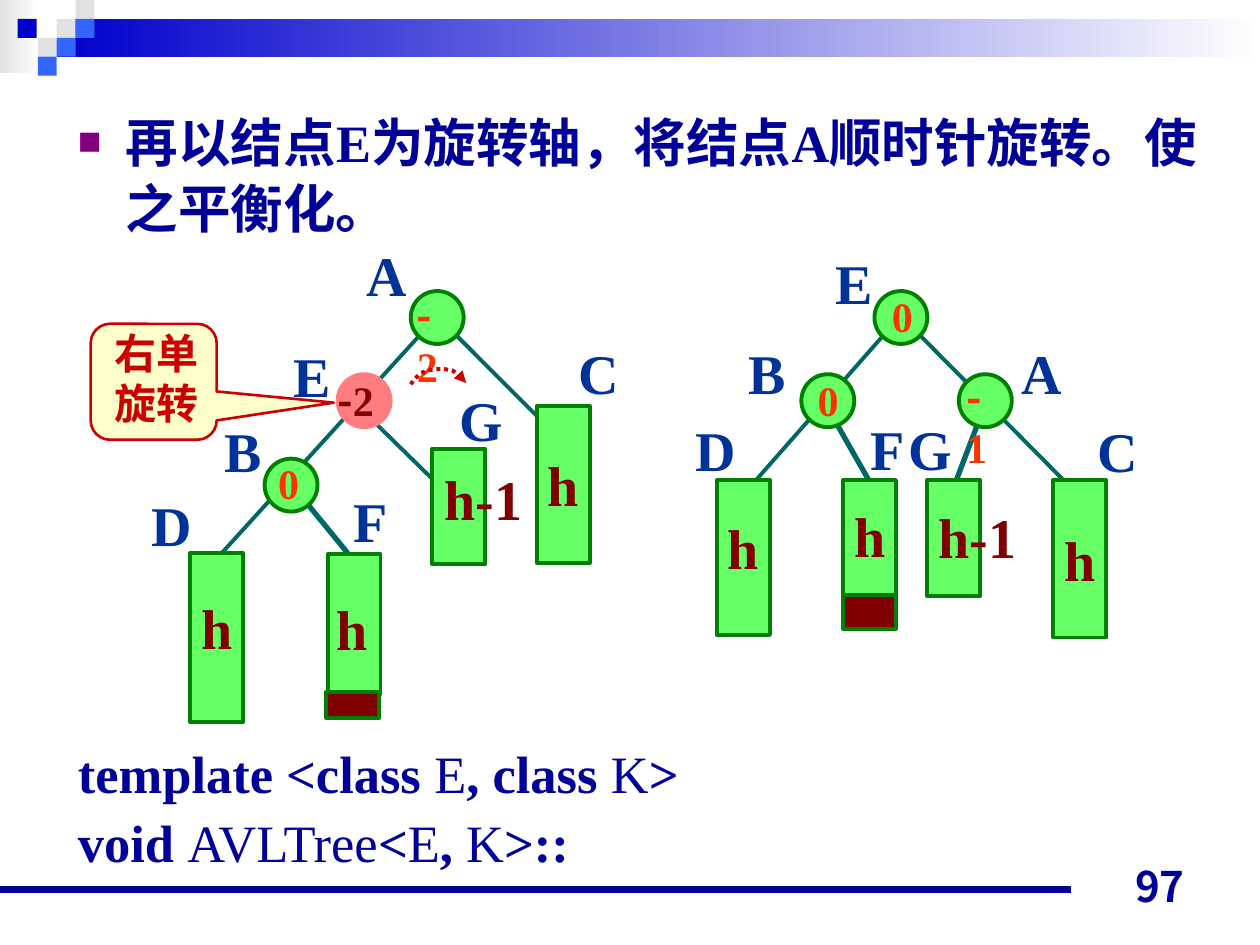
from typing import NamedTuple

from lxml.etree import SubElement
from pptx import Presentation
from pptx.dml.color import RGBColor
from pptx.enum.dml import MSO_LINE
from pptx.enum.shapes import MSO_CONNECTOR, MSO_SHAPE
from pptx.enum.text import MSO_ANCHOR, PP_ALIGN
from pptx.oxml.ns import qn
from pptx.util import Inches, Pt

COLORS = {
    "navy": "000099", "blue": "0000CC", "light blue": "3366FF", "grey": "E1E1E1",
    "white": "FFFFFF", "purple": "800080", "label": "003399", "balance": "FF3300",
    "edge": "006666", "outline": "008000", "green": "66FF66", "pink": "FF7C80",
    "maroon": "800000", "red": "CC0000", "cream": "FFFFCC",
}
SERIF, CJK, NUMBER_FONT = "Times New Roman", "Noto Sans CJK SC", "Noto Sans CJK JP"
NODE_SIZE = 0.42


class Run(NamedTuple):
    text: str
    bold: bool = True
    font: str = SERIF


class Label(NamedTuple):
    left: float
    top: float
    width: float
    text: str
    color: str = "label"


class Balance(NamedTuple):
    left: float
    top: float
    width: float
    text: str
    color: str = "balance"


class Edge(NamedTuple):
    x1: float
    y1: float
    x2: float
    y2: float
    weight: float = 2.25


class Node(NamedTuple):
    left: float
    top: float
    fill: str = "green"
    line: str = "outline"


class Subtree(NamedTuple):
    left: float
    top: float
    height: float
    text: str = ""
    spacing: float = 1.0
    fill: str = "green"


EDGES = [
    Edge(2.35, 3.89, 2.76, 4.39, 3), Edge(3.6, 2.64, 4.35, 3.39),
    Edge(3.35, 2.64, 1.76, 4.39), Edge(2.93, 3.31, 3.43, 3.8),
    Edge(7.78, 3.31, 7.53, 3.97, 3), Edge(7.28, 2.64, 8.44, 3.81),
    Edge(7.03, 2.64, 5.86, 3.97), Edge(6.61, 3.31, 6.94, 3.89, 3),
]
NODES = [
    Node(3.26, 2.31), Node(2.68, 2.97, "pink", "pink"), Node(2.1, 3.64),
    Node(6.94, 2.31), Node(6.36, 2.97), Node(7.61, 2.97),
]
SUBTREES = [
    Subtree(4.26, 3.22, 1.25, "h"), Subtree(1.51, 4.39, 1.34, "h", 0.6),
    Subtree(2.6, 4.4, 1.11), Subtree(3.43, 3.56, 0.92),
    Subtree(2.59, 5.49, 0.21, fill="maroon"),
    Subtree(8.36, 3.81, 1.25, "h"), Subtree(5.69, 3.81, 1.23, "h", 0.6),
    Subtree(6.69, 3.81, 0.95), Subtree(7.36, 3.81, 0.92),
    Subtree(6.69, 4.72, 0.27, fill="maroon"),
]
LABELS = [
    Label(2.81, 1.86, 0.52, "A"), Label(2.23, 2.66, 0.49, "E"),
    Label(4.49, 2.64, 0.52, "C"), Label(1.1, 3.84, 0.52, "D"),
    Label(1.68, 3.26, 0.49, "B"), Label(2.71, 3.81, 0.47, "F"),
    Label(3.55, 3.01, 0.54, "G"),
    Label(3.43, 3.64, 0.82, "h-1", "maroon"), Label(2.57, 4.67, 0.45, "h", "maroon"),
    Label(6.53, 1.92, 0.49, "E"), Label(5.84, 2.64, 0.49, "B"),
    Label(8.01, 2.64, 0.52, "A"), Label(5.42, 3.25, 0.52, "D"),
    Label(6.81, 3.24, 0.47, "F"), Label(7.11, 3.24, 0.54, "G"),
    Label(8.61, 3.26, 0.52, "C"),
    Label(7.35, 3.94, 0.82, "h-1", "maroon"), Label(6.68, 3.93, 0.45, "h", "maroon"),
]
BALANCES = [
    Balance(3.21, 2.25, 0.47, "-2"), Balance(2.58, 2.92, 0.56, "-2", "maroon"),
    Balance(2.11, 3.58, 0.36, "0"), Balance(6.98, 2.26, 0.36, "0"),
    Balance(6.39, 2.92, 0.36, "0"), Balance(7.57, 2.9, 0.47, "-1"),
]
HEADER_SQUARES = [
    (0.45, 0.15, "grey"), (0.6, 0, "grey"), (0.6, 0.15, "light blue"),
    (0.3, 0.3, "grey"), (0.14, 0.15, "blue"), (0.45, 0.3, "light blue"),
    (0.3, 0.45, "light blue"),
]
ARC = [
    (3.26, 3.05), (3.29, 3.01), (3.34, 2.96), (3.4, 2.94), (3.46, 2.93),
    (3.53, 2.93), (3.59, 2.94), (3.65, 2.98), (3.7, 3.04),
]


def rgb(name: str) -> RGBColor:
    return RGBColor.from_string(COLORS[name])


def write(paragraph, runs: list[Run], size: float, color: str) -> None:
    for item in runs:
        run = paragraph.add_run()
        run.text = item.text
        run.font.name, run.font.size, run.font.bold = item.font, Pt(size), item.bold
        run.font.color.rgb = rgb(color)
        SubElement(run.font._element, qn("a:ea"), typeface=CJK)


def add_text(slide, left: float, top: float, width: float, height: float,
             lines: list[list[Run]], size: float, color: str, wrap: bool = True):
    """Add a text box with one paragraph per list of runs."""
    box = slide.shapes.add_textbox(Inches(left), Inches(top), Inches(width), Inches(height))
    frame = box.text_frame
    frame.word_wrap = wrap
    for index, runs in enumerate(lines):
        paragraph = frame.add_paragraph() if index else frame.paragraphs[0]
        write(paragraph, runs, size, color)
    return frame


def add_box(slide, kind, left: float, top: float, width: float, height: float,
            fill: str, line: str = "", weight: float = 2.25):
    shape = slide.shapes.add_shape(kind, Inches(left), Inches(top), Inches(width), Inches(height))
    shape.shadow.inherit = False
    shape.fill.solid()
    shape.fill.fore_color.rgb = rgb(fill)
    if line:
        shape.line.color.rgb = rgb(line)
        shape.line.width = Pt(weight)
    else:
        shape.line.fill.background()
    return shape


def add_fading_bar(slide, left: float, top: float, width: float, height: float, color: str) -> None:
    bar = add_box(slide, MSO_SHAPE.RECTANGLE, left, top, width, height, color)
    bar.fill.gradient()
    bar.fill.gradient_angle = 0
    for stop, name in zip(bar.fill.gradient_stops, (color, "white")):
        stop.color.rgb = rgb(name)


def add_edge(slide, edge: Edge, color: str) -> None:
    connector = slide.shapes.add_connector(
        MSO_CONNECTOR.STRAIGHT, Inches(edge.x1), Inches(edge.y1), Inches(edge.x2), Inches(edge.y2))
    connector.line.color.rgb = rgb(color)
    connector.line.width = Pt(edge.weight)
    SubElement(connector._element.spPr, qn("a:effectLst"))


def add_subtree(slide, subtree: Subtree) -> None:
    shape = add_box(slide, MSO_SHAPE.RECTANGLE, subtree.left, subtree.top, NODE_SIZE,
                    subtree.height, subtree.fill, "outline")
    if subtree.text:
        shape.text_frame.word_wrap = False
        paragraph = shape.text_frame.paragraphs[0]
        paragraph.alignment = PP_ALIGN.CENTER
        paragraph.line_spacing = subtree.spacing
        write(paragraph, [Run(subtree.text)], 32, "maroon")


def add_rotation_arrow(slide) -> None:
    start, *rest = [(Inches(x), Inches(y)) for x, y in ARC]
    builder = slide.shapes.build_freeform(*start)
    builder.add_line_segments(rest, close=False)
    arrow = builder.convert_to_shape()
    arrow.shadow.inherit = False
    arrow.fill.background()
    arrow.line.color.rgb = rgb("red")
    arrow.line.width = Pt(2.25)
    arrow.line.dash_style = MSO_LINE.ROUND_DOT
    SubElement(arrow.line._get_or_add_ln(), qn("a:tailEnd"), type="triangle")


def add_heading(slide) -> None:
    frame = add_text(slide, 0.52, 0.8, 9.08, 1.2,
                     [[Run("再以结点E为旋转轴，将结点A顺时针旋转。使之平衡化。")]], 30, "navy")
    paragraph = frame.paragraphs[0]
    paragraph.alignment = PP_ALIGN.JUSTIFY
    paragraph.line_spacing = 1.05
    properties = paragraph._p.get_or_add_pPr()
    properties.set("marL", str(Inches(0.38)))
    properties.set("indent", str(-Inches(0.38)))
    bullet_color = SubElement(properties, qn("a:buClr"))
    SubElement(bullet_color, qn("a:srgbClr"), val=COLORS["purple"])
    SubElement(properties, qn("a:buSzPct"), val="75000")
    SubElement(properties, qn("a:buFont"), typeface=SERIF)
    SubElement(properties, qn("a:buChar"), char="■")


def add_code(slide) -> None:
    lines = [
        [Run("template <class "), Run("E", False), Run(", class "), Run("K", False), Run(">")],
        [Run("void "), Run("AVLTree", False), Run("<"), Run("E", False), Run(", "),
         Run("K", False), Run(">::")],
    ]
    frame = add_text(slide, 0.52, 5.83, 9.08, 1.15, lines, 30, "navy")
    frame.paragraphs[1].space_before = Pt(3.7)


def main() -> None:
    presentation = Presentation()
    presentation.slide_width, presentation.slide_height = Inches(10), Inches(7.5)
    slide = presentation.slides.add_slide(presentation.slide_layouts[6])

    add_fading_bar(slide, 0, 0, 0.31, 0.58, "grey")
    add_fading_bar(slide, 0.45, 0.15, 9.55, 0.3, "blue")
    for left, top, color in HEADER_SQUARES:
        add_box(slide, MSO_SHAPE.RECTANGLE, left, top, 0.15, 0.15, color)
    add_edge(slide, Edge(0, 7.06, 8.5, 7.06, 4.5), "navy")
    add_heading(slide)
    add_code(slide)

    callout = add_box(slide, MSO_SHAPE.ROUNDED_RECTANGULAR_CALLOUT, 0.72, 2.57, 1, 0.92,
                      "cream", "red", 1.5)
    callout.adjustments[0], callout.adjustments[1] = 1.43, 0.18
    add_text(slide, 0.81, 2.55, 1, 0.9, [[Run("右单")], [Run("旋转")]], 24, "red")

    for edge in EDGES:
        add_edge(slide, edge, "edge")
    for node in NODES:
        add_box(slide, MSO_SHAPE.OVAL, node.left, node.top, NODE_SIZE, NODE_SIZE, node.fill, node.line)
    for subtree in SUBTREES:
        add_subtree(slide, subtree)
    for left, top, width, text, color in LABELS:
        add_text(slide, left, top, width, 0.64, [[Run(text)]], 32, color, wrap=False)
    for left, top, width, text, color in BALANCES:
        runs = [Run(mark, font=CJK if mark == "-" else SERIF) for mark in text]
        add_text(slide, left, top, width, 0.5, [runs], 24, color)
    add_rotation_arrow(slide)

    number = add_text(slide, 7.17, 6.78, 2.33, 0.5, [[Run("97", font=NUMBER_FONT)]], 24, "navy")
    number.vertical_anchor = MSO_ANCHOR.BOTTOM
    number.paragraphs[0].alignment = PP_ALIGN.RIGHT
    presentation.save("out.pptx")


if __name__ == "__main__":
    main()
